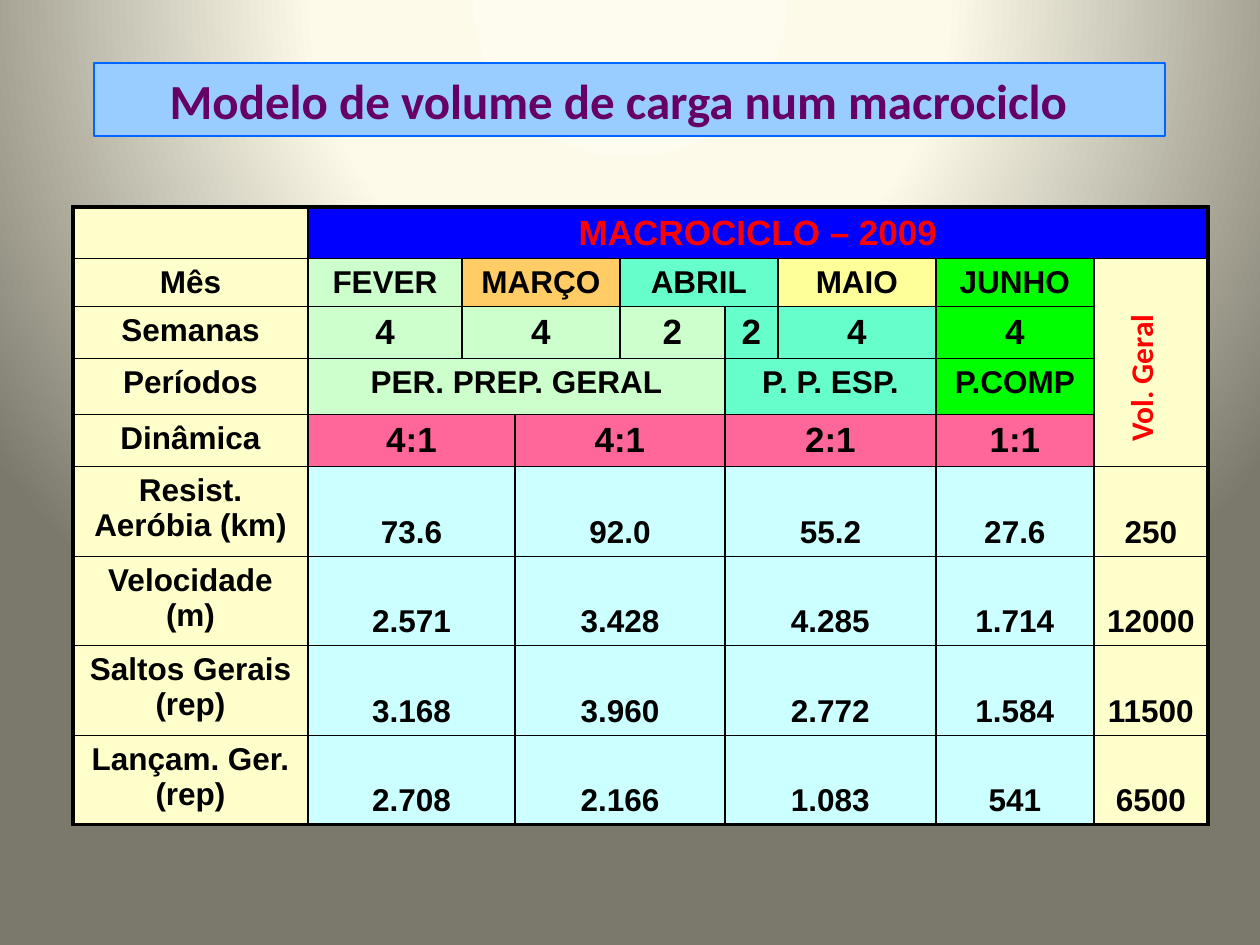
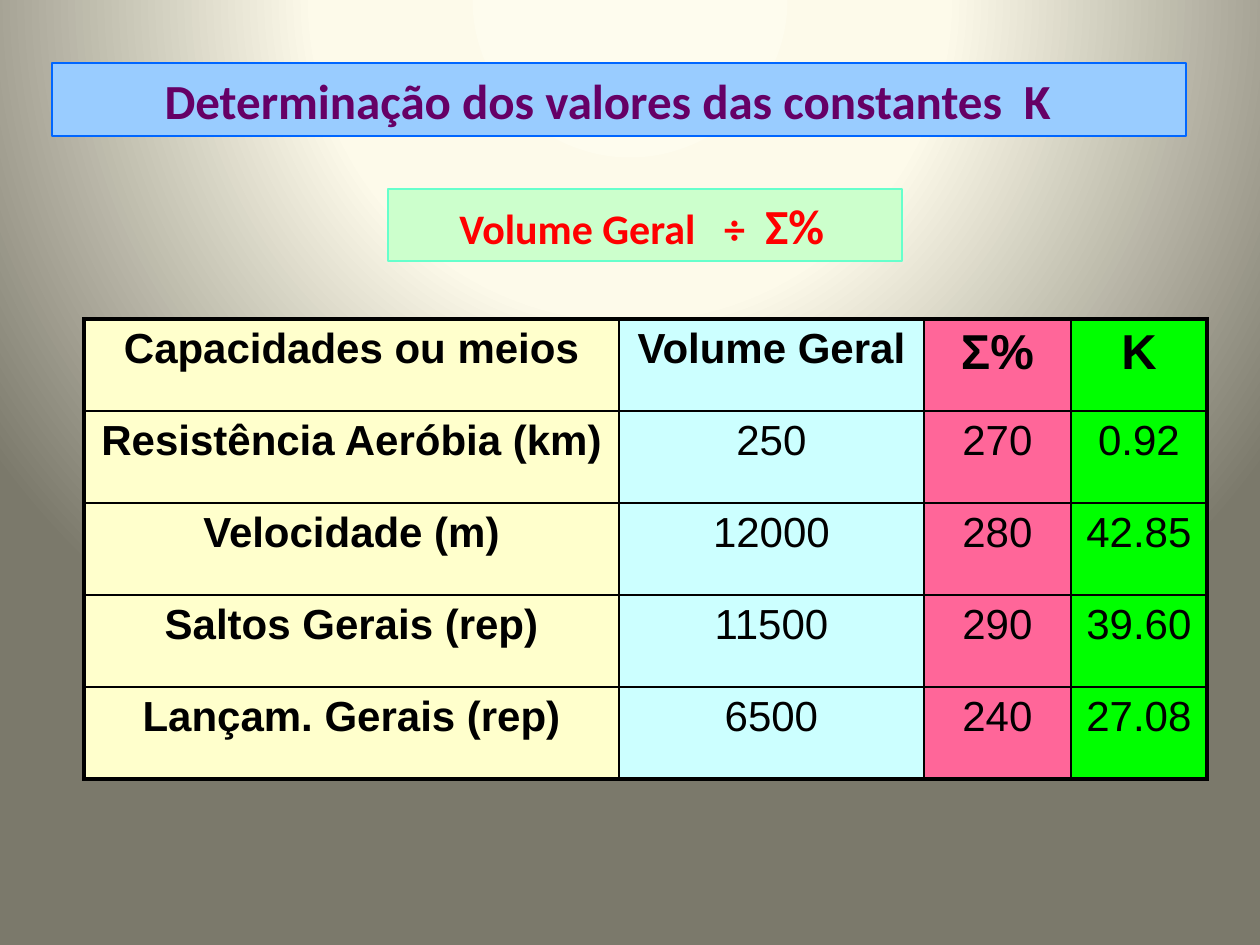
from dataclasses import dataclass

from lxml import etree
from pptx import Presentation
from pptx import util as u
from pptx.dml.color import RGBColor
from pptx.enum import shapes, text
from pptx.oxml import ns

PX = u.Inches(1) / 126
BLACK, RED, PURPLE = "000000", "FF0000", "660066"
CREAM, AQUA, MINT, TEAL = "FFFFCC", "CCFFFF", "CCFFCC", "66FFCC"
PINK, GREEN, ORANGE, YELLOW, BLUE = "FF6699", "00FF00", "FFCC66", "FFFF99", "0000FF"
SKY, SKY_EDGE = "99CCFF", "0066FF"
GLOW = ((0, "FEFCEE"), (40, "FDFAEA"), (100, "7B796B"))
TOP, BOTTOM = text.MSO_ANCHOR.TOP, text.MSO_ANCHOR.BOTTOM


@dataclass
class Entry:
    """One table cell with its span and look."""
    words: str
    fill: str
    cols: int = 1
    rows: int = 1
    size: int = 18
    bold: bool = True
    color: str = BLACK
    anchor: text.MSO_ANCHOR = TOP


def px(length):
    """Turn pixels into EMU."""
    return u.Emu(round(length * PX))


def rgb(value):
    """Turn a hex string into a colour."""
    return RGBColor.from_string(value)


def add_node(parent, tag, **attributes):
    """Append a drawing element with attributes."""
    node = etree.SubElement(parent, ns.qn(tag))
    for key, value in attributes.items():
        node.set(key, str(value))
    return node


def write(frame, words, *, font="Calibri", size=28, color=PURPLE, bold=True):
    """Write centred text; each run is a string or (string, size, spacing)."""
    line = frame.paragraphs[0]
    line.alignment = text.PP_ALIGN.CENTER
    for part in [words] if isinstance(words, str) else words:
        content, points, spacing = (part, size, 0) if isinstance(part, str) else part
        run = line.add_run()
        run.text = content
        run.font.name, run.font.size, run.font.bold = font, u.Pt(points), bold
        run.font.color.rgb = rgb(color)
        if spacing:
            run.font._element.set("spc", str(spacing))


def set_background(master):
    """Give the master the shared round glow."""
    master.background.fill.gradient()
    gradient = master.element.find(".//" + ns.qn("a:gradFill"))
    for child in list(gradient):
        gradient.remove(child)
    stops = add_node(gradient, "a:gsLst")
    for place, color in GLOW:
        stop = add_node(stops, "a:gs", pos=place * 1000)
        add_node(stop, "a:srgbClr", val=color)
    glow = add_node(gradient, "a:path", path="circle")
    add_node(glow, "a:fillToRect", l=50000, t=-80000, r=50000, b=180000)


def add_band(slide, box, words, fill, edge, *, edge_width=0.75, shift=0, **style):
    """Add a filled band whose text is centred, moved left by shift."""
    band = slide.shapes.add_shape(shapes.MSO_SHAPE.RECTANGLE, *map(px, box))
    band.shadow.inherit = False
    band.fill.solid()
    band.fill.fore_color.rgb = rgb(fill)
    band.line.color.rgb = rgb(edge)
    band.line.width = u.Pt(edge_width)
    band.text_frame.word_wrap = True
    band.text_frame.margin_right = px(13 + 2 * shift)
    write(band.text_frame, words, **style)


def add_title(slide, left, width, words):
    """Add the title band shared by the slides."""
    add_band(slide, (left, 63, width, 73), words, SKY, SKY_EDGE, shift=11)


def add_side_label(slide, box, words):
    """Add a label that reads upwards."""
    label = slide.shapes.add_textbox(*map(px, box))
    label.rotation = 270
    label.text_frame.word_wrap = True
    write(label.text_frame, words, size=18, color=RED)


def set_borders(cell, outer):
    """Draw four borders, thick where the side lies on the table edge."""
    properties = cell._tc.get_or_add_tcPr()
    for tag, thick in zip(("a:lnL", "a:lnR", "a:lnT", "a:lnB"), outer):
        border = add_node(properties, tag, w=u.Pt(2.25 if thick else 1))
        add_node(add_node(border, "a:solidFill"), "a:srgbClr", val=BLACK)


def add_grid(slide, left, top, widths, heights, rows):
    """Add a table from rows of entries, merging the spans."""
    box = map(px, (left, top, sum(widths), sum(heights)))
    table = slide.shapes.add_table(len(heights), len(widths), *box).table
    table.first_row = table.horz_banding = False
    for column, width in zip(table.columns, widths):
        column.width = px(width)
    for row, height in zip(table.rows, heights):
        row.height = px(height)
    for y, entries in enumerate(rows):
        x = 0
        for entry in entries:
            cell = table.cell(y, x)
            right, bottom = x + entry.cols, y + entry.rows
            if entry.cols * entry.rows > 1:
                cell.merge(table.cell(bottom - 1, right - 1))
            set_borders(cell, (x == 0, right == len(widths),
                               y == 0, bottom == len(heights)))
            cell.fill.solid()
            cell.fill.fore_color.rgb = rgb(entry.fill)
            cell.margin_left = cell.margin_right = px(12)
            cell.vertical_anchor = entry.anchor
            if entry.words:
                write(cell.text_frame, entry.words, font="Arial", size=entry.size,
                      color=entry.color, bold=entry.bold)
            x = right


def build_load_model(slide):
    """Build the slide with the load volume of the macrocycle."""
    rows = [
        [Entry("", CREAM), Entry("MACROCICLO – 2009", BLUE, 8, size=20, color=RED)],
        [Entry("Mês", CREAM), Entry("FEVER", MINT), Entry("MARÇO", ORANGE, 2),
         Entry("ABRIL", TEAL, 2), Entry("MAIO", YELLOW), Entry("JUNHO", GREEN),
         Entry("", CREAM, rows=4)],
        [Entry("Semanas", CREAM)] + [
            Entry(weeks, fill, cols, size=20) for weeks, fill, cols in (
                ("4", MINT, 1), ("4", MINT, 2), ("2", MINT, 1),
                ("2", TEAL, 1), ("4", TEAL, 1), ("4", GREEN, 1))],
        [Entry("Períodos", CREAM), Entry("PER. PREP. GERAL", MINT, 4),
         Entry("P. P. ESP.", TEAL, 2), Entry("P.COMP", GREEN)],
        [Entry("Dinâmica", CREAM)] + [
            Entry(ratio, PINK, cols, size=20)
            for ratio, cols in zip(("4:1", "4:1", "2:1", "1:1"), (2, 2, 2, 1))],
    ]
    volumes = (
        ("Resist. Aeróbia (km)", "73.6", "92.0", "55.2", "27.6", "250"),
        ("Velocidade (m)", "2.571", "3.428", "4.285", "1.714", "12000"),
        ("Saltos Gerais (rep)", "3.168", "3.960", "2.772", "1.584", "11500"),
        ("Lançam. Ger. (rep)", "2.708", "2.166", "1.083", "541", "6500"),
    )
    for ability, *loads, total in volumes:
        rows.append([Entry(ability, CREAM)]
                    + [Entry(load, AQUA, cols, anchor=BOTTOM)
                       for load, cols in zip(loads, (2, 2, 2, 1))]
                    + [Entry(total, CREAM, anchor=BOTTOM)])
    add_grid(slide, 73, 207, (235, 154, 53, 105, 105, 53, 158, 158, 114),
             (51, 48, 52, 56, 51, 90, 89, 90, 89), rows)
    add_title(slide, 94, 1071, "Modelo de volume de carga num macrociclo")
    add_side_label(slide, (1046, 353, 189, 50), "Vol. Geral")


def build_constants(slide):
    """Build the slide with the values of the K constants."""
    fills = (CREAM, AQUA, PINK, GREEN)
    headings = ("Capacidades ou meios", "Volume Geral", "Σ%", "K")
    constants = (
        ("Resistência Aeróbia (km)", "250", "270", "0.92"),
        ("Velocidade (m)", "12000", "280", "42.85"),
        ("Saltos Gerais (rep)", "11500", "290", "39.60"),
        ("Lançam. Gerais (rep)", "6500", "240", "27.08"),
    )
    rows = [[Entry(heading, fill, size=size) for heading, fill, size
             in zip(headings, fills, (24, 24, 28, 28))]]
    for values in constants:
        rows.append([Entry(value, fill, size=24, bold=fill == CREAM)
                     for value, fill in zip(values, fills)])
    add_grid(slide, 84, 319, (535, 305, 147, 136), [92] * 5, rows)
    add_title(slide, 52, 1134,
              ["Determinação dos valores das constantes", (" ", 28, 630), "K"])
    add_band(slide, (388, 189, 514, 72),
             ["Volume Geral", (" ", 24, 1090), "÷", (" ", 17, 770), ("Σ%", 28, 0)],
             MINT, TEAL, edge_width=0, shift=3, size=24, color=RED)


def main():
    """Build the presentation and save it."""
    deck = Presentation()
    deck.slide_width, deck.slide_height = px(1260), px(945)
    set_background(deck.slide_master)
    for build in (build_load_model, build_constants):
        build(deck.slides.add_slide(deck.slide_layouts[6]))
    deck.save("out.pptx")


if __name__ == "__main__":
    main()
